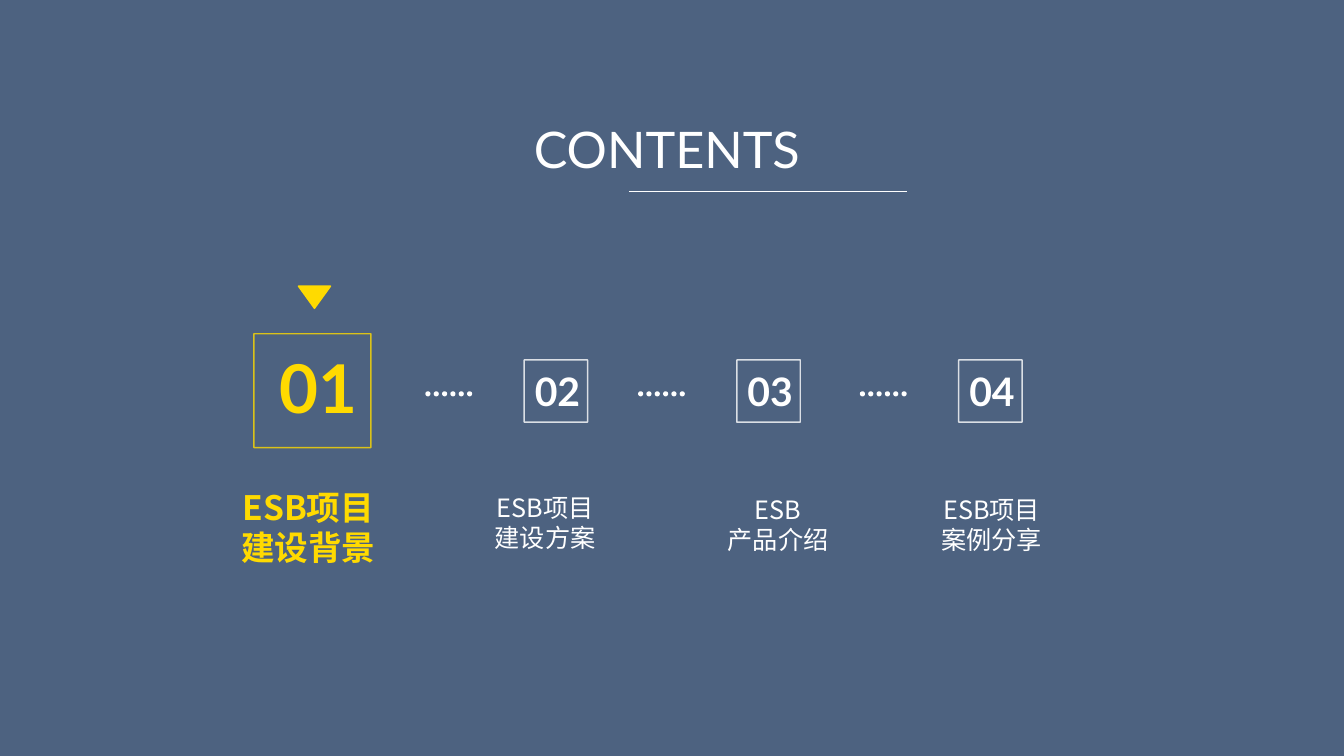
from lxml import etree
from pptx import Presentation, util as u
from pptx.dml.color import RGBColor
from pptx.enum import shapes as sh, text as tx
from pptx.oxml.ns import qn

WHITE, GOLD, BLUE = "FFFFFF", "FFDA00", "4D6280"
LATO, NOTO = "Lato", "Noto Sans CJK SC"


def tint(fill, hue):
    fill.solid()
    fill.fore_color.rgb = RGBColor.from_string(hue)


class Deck:
    """Holds the style, the current slide and the group being filled."""

    def __init__(self):
        self.file = Presentation()
        self.file.slide_width, self.file.slide_height = u.Cm(33.87), u.Cm(19.05)
        self.slide = self.file.slides.add_slide(self.file.slide_layouts[5])
        self.shapes = self.slide.shapes
        tint(self.slide.background.fill, BLUE)

    def group(self):
        self.shapes = self.slide.shapes.add_group_shape().shapes

    def label(self, box, words, size, face, hue=WHITE, bold=False):
        frame = box.text_frame
        frame.text = words
        look = {"word_wrap": True, "vertical_anchor": tx.MSO_ANCHOR.TOP,
                "auto_size": tx.MSO_AUTO_SIZE.SHAPE_TO_FIT_TEXT}
        for key, value in look.items():
            setattr(frame, key, value)
        for para in frame.paragraphs:
            para.alignment = tx.PP_ALIGN.CENTER
            for run in para.runs:
                for key, value in {"name": face, "size": u.Pt(size), "bold": bold}.items():
                    setattr(run.font, key, value)
                tint(run.font.fill, hue)
                east = etree.SubElement(run.font._element, qn("a:ea"))
                east.set("typeface", face)

    def title(self, words, place):
        box = self.slide.shapes.title
        for key, value in zip(("left", "top", "width", "height"), place):
            setattr(box, key, u.Cm(value))
        self.label(box, words, 36, LATO)

    def text(self, words, place, *style):
        self.label(self.shapes.add_textbox(*map(u.Cm, place)), words, *style)

    def solid(self, kind, place, hue):
        shape = self.shapes.add_shape(kind, *map(u.Cm, place))
        shape.shadow.inherit = False
        tint(shape.fill, hue)
        shape.line.fill.background()
        return shape

    def frame(self, place, hue):
        shape = self.solid(sh.MSO_SHAPE.RECTANGLE, place, hue)
        shape.fill.background()
        tint(shape.line.fill, hue)
        shape.line.width = u.Pt(1)
        color = shape._element.spPr.find(qn("a:ln")).find(".//" + qn("a:srgbClr"))
        etree.SubElement(color, qn("a:alpha")).set("val", "80000")

    def rule(self, *ends):
        line = self.shapes.add_connector(sh.MSO_CONNECTOR.STRAIGHT, *map(u.Cm, ends))
        tint(line.line.fill, WHITE)
        line.line.width = u.Pt(0.5)
        etree.SubElement(line._element.spPr, qn("a:effectLst"))

    def dots(self, left):
        for i in range(6):
            self.solid(sh.MSO_SHAPE.OVAL, (left + 0.21 * i, 9.86, 0.13, 0.13), WHITE)


def main():
    deck = Deck()
    deck.title("CONTENTS", (11.28, 2.84, 11.05, 1.8))
    deck.rule(15.85, 4.83, 22.86, 4.83)

    deck.group()
    mark = deck.solid(sh.MSO_SHAPE.ISOSCELES_TRIANGLE, (7.52, 7.21, 0.81, 0.56), GOLD)
    mark.rotation = 180
    tint(mark.line.fill, GOLD)
    mark.line.width = u.Pt(1)
    deck.text("ESB项目\n建设背景", (3.96, 12.14, 7.62, 2.31), 24, NOTO, GOLD, True)
    deck.frame((6.4, 8.41, 2.95, 2.87), GOLD)
    deck.text("01", (5.77, 8.61, 4.5, 2.31), 48, LATO, GOLD, True)

    parts = [("02", "ESB项目\n建设方案", 13.21, 9.93, 12.27),
             ("03", "ESB\n产品介绍", 18.57, 15.8, 12.32),
             ("04", "ESB项目\n案例分享", 24.16, 21.18, 12.32)]
    for num, name, left, side, top in parts:
        deck.group()
        deck.dots(left - 2.49)
        deck.text(name, (side, top, 7.62, 1.8), 18, NOTO)
        deck.frame((left, 9.07, 1.6, 1.57), WHITE)
        deck.text(num, (left - 0.38, 9.14, 2.44, 1.45), 28, LATO, WHITE, True)

    deck.file.save("out.pptx")


if __name__ == "__main__":
    main()
